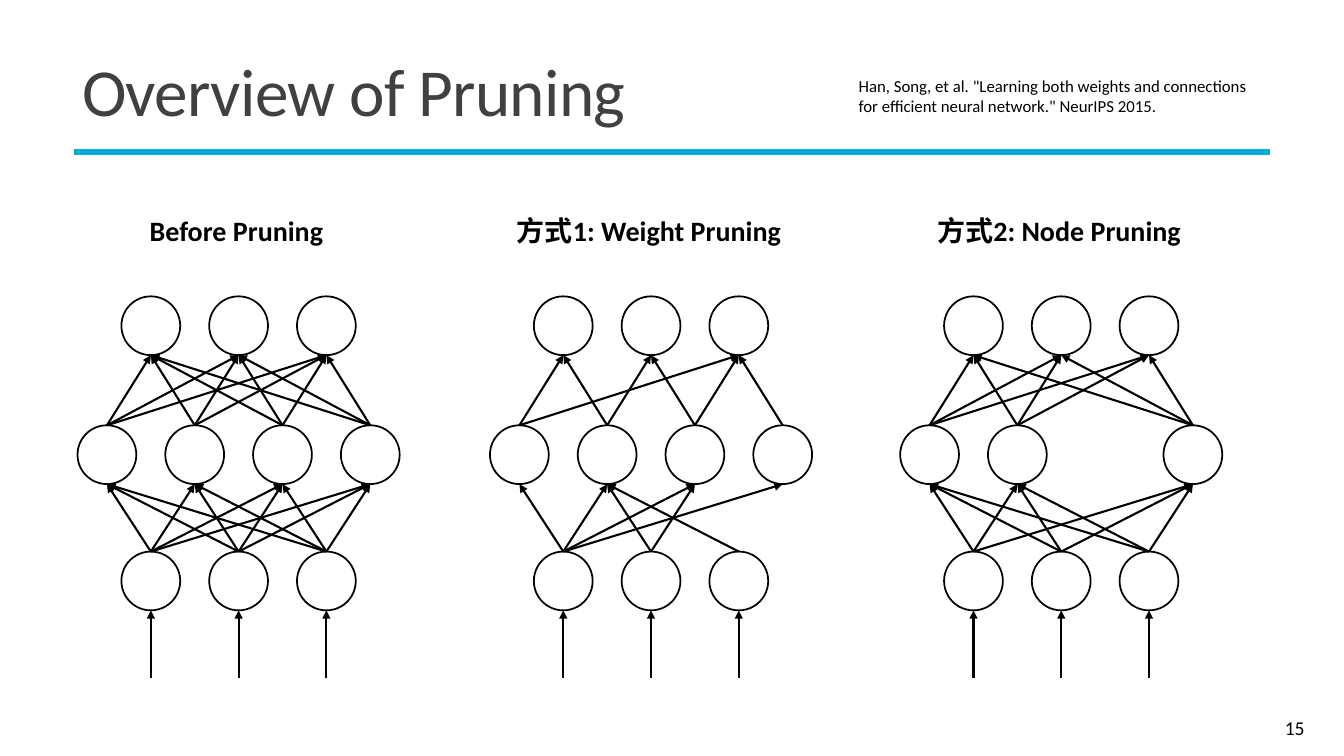
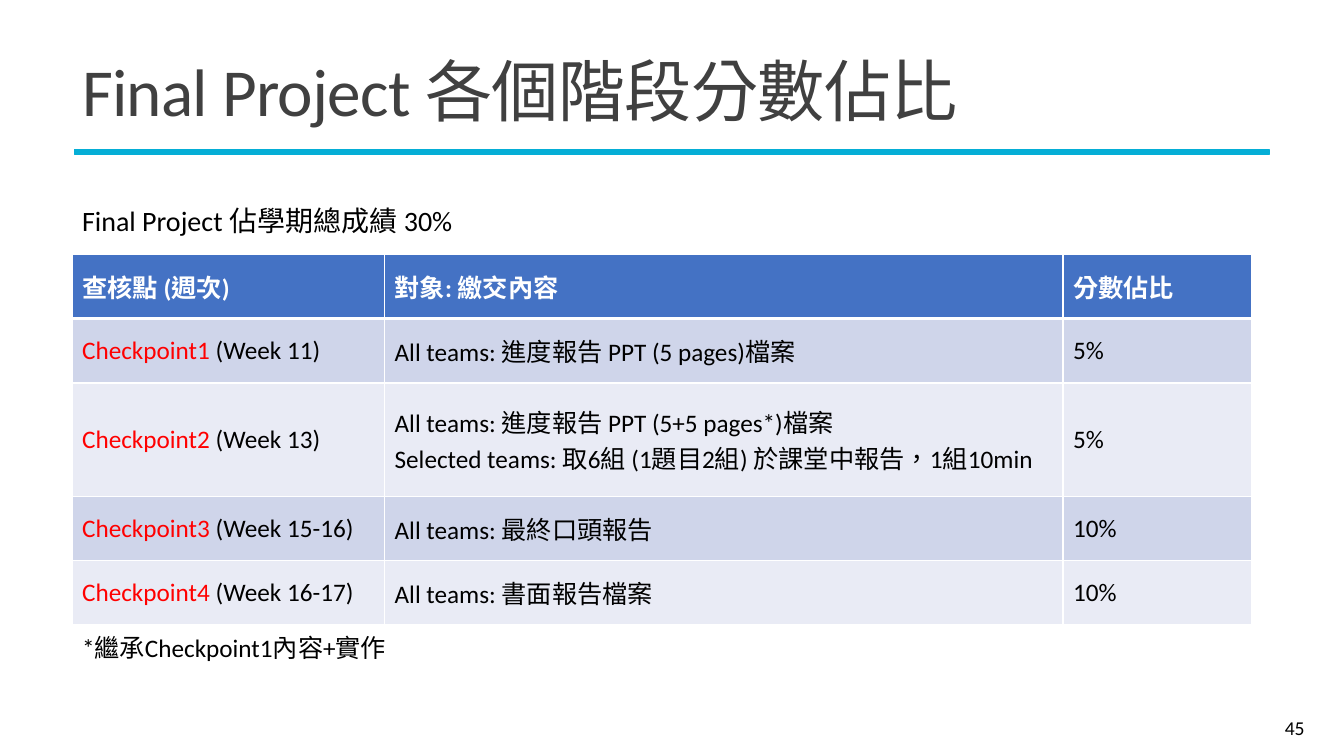
"""Build two lecture slides: an overview of pruning and the project grading table."""

import dataclasses
import itertools

import lxml.etree
import pptx
import pptx.dml.color
import pptx.enum.shapes
import pptx.enum.text
import pptx.oxml.ns
import pptx.shapes.autoshape
import pptx.slide
import pptx.table
import pptx.text.text
import pptx.util

COLORS = {
    "accent": "05AED6",
    "title": "404040",
    "text": "000000",
    "highlight": "FF0000",
    "white": "FFFFFF",
    "header": "4472C4",
    "odd_row": "CFD5EA",
    "even_row": "E9EBF5",
}
LATIN_FONT = "Calibri"
ASIAN_FONT = "Noto Sans CJK TC"

MARGIN = 51.5
NODE_SIZE = 42
NODE_PITCH = 62.7
OUTPUT_TOP, HIDDEN_TOP, INPUT_TOP = 211.7, 303.8, 394
ARROW_START = 484.6

CENTER = pptx.enum.text.PP_ALIGN.CENTER
RIGHT = pptx.enum.text.PP_ALIGN.RIGHT
MIDDLE = pptx.enum.text.MSO_ANCHOR.MIDDLE

Link = tuple[int, int]


@dataclasses.dataclass(frozen=True)
class TextStyle:
    size: float
    color: str = "text"
    bold: bool = False
    align: pptx.enum.text.PP_ALIGN | None = None


@dataclasses.dataclass(frozen=True)
class Network:
    heading: str
    left: float
    hidden: list[int]
    lower_links: list[Link]
    upper_links: list[Link]


@dataclasses.dataclass(frozen=True)
class Checkpoint:
    name: str
    weeks: str
    content: str
    share: str


def dense_network(heading: str, left: float, hidden: list[int]) -> Network:
    lower = list(itertools.product(range(3), hidden))
    upper = list(itertools.product(hidden, range(3)))
    return Network(heading, left, hidden, lower, upper)


NETWORKS = [
    dense_network("Before Pruning", 55.4, [0, 1, 2, 3]),
    Network(
        "方式1: Weight Pruning",
        350,
        [0, 1, 2, 3],
        [(0, 0), (0, 1), (0, 2), (0, 3), (1, 1), (1, 2), (2, 1)],
        [(0, 0), (0, 2), (1, 0), (1, 1), (2, 1), (2, 2), (3, 2)],
    ),
    dense_network("方式2: Node Pruning", 643, [0, 1, 3]),
]

TABLE_HEADER = ["查核點 (週次)", "對象: 繳交內容", "分數佔比"]
CHECKPOINTS = [
    Checkpoint("Checkpoint1", "(Week 11)", "All teams: 進度報告 PPT (5 pages)檔案", "5%"),
    Checkpoint(
        "Checkpoint2",
        "(Week 13)",
        "All teams: 進度報告 PPT (5+5 pages*)檔案\n"
        "Selected teams: 取6組 (1題目2組) 於課堂中報告，1組10min",
        "5%",
    ),
    Checkpoint("Checkpoint3", "(Week 15-16)", "All teams: 最終口頭報告", "10%"),
    Checkpoint("Checkpoint4", "(Week 16-17)", "All teams: 書面報告檔案", "10%"),
]
COLUMN_WIDTHS = [223.2, 484.6, 134.6]
ROW_HEIGHTS = [46, 46, 81, 46, 46]


def rgb(color: str) -> pptx.dml.color.RGBColor:
    return pptx.dml.color.RGBColor.from_string(COLORS[color])


def points(*lengths: float) -> list[pptx.util.Pt]:
    return [pptx.util.Pt(length) for length in lengths]


def format_run(run: pptx.text.text._Run, style: TextStyle) -> None:
    run.font.size = pptx.util.Pt(style.size)
    run.font.bold = style.bold
    run.font.color.rgb = rgb(style.color)
    run.font.name = LATIN_FONT
    properties = run._r.get_or_add_rPr()
    properties.set("lang", "zh-TW")
    asian = lxml.etree.SubElement(properties, pptx.oxml.ns.qn("a:ea"))
    asian.set("typeface", ASIAN_FONT)


def write(text_frame: pptx.text.text.TextFrame, text: str, style: TextStyle) -> None:
    text_frame.text = text
    for paragraph in text_frame.paragraphs:
        paragraph.alignment = style.align
        for run in paragraph.runs:
            format_run(run, style)


def add_text(
    slide: pptx.slide.Slide,
    text: str,
    box: tuple[float, float, float, float],
    style: TextStyle,
    anchor: pptx.enum.text.MSO_ANCHOR | None = None,
) -> pptx.text.text.TextFrame:
    text_frame = slide.shapes.add_textbox(*points(*box)).text_frame
    text_frame.word_wrap = True
    text_frame.vertical_anchor = anchor
    write(text_frame, text, style)
    return text_frame


def add_slide(
    presentation: pptx.presentation.Presentation, title: str, number: int
) -> pptx.slide.Slide:
    slide = presentation.slides.add_slide(presentation.slide_layouts[6])
    rule = slide.shapes.add_shape(
        pptx.enum.shapes.MSO_SHAPE.RECTANGLE, *points(53.3, 106.8, 853.2, 3.6)
    )
    rule.shadow.inherit = False
    rule.fill.solid()
    rule.fill.fore_color.rgb = rgb("accent")
    rule.line.color.rgb = rgb("accent")
    rule.line.width = pptx.util.Pt(1.25)

    title_frame = add_text(
        slide, title, (MARGIN, 28.1, 860, 81.4), TextStyle(48, "title"), MIDDLE
    )
    paragraph = title_frame.paragraphs[0]
    paragraph.line_spacing = 0.85
    for run in paragraph.runs:
        run._r.get_or_add_rPr().set("spc", "-50")
    add_text(
        slide, str(number), (836, 505.4, 103, 28.8), TextStyle(14, align=RIGHT), MIDDLE
    )
    return slide


def add_node(
    slide: pptx.slide.Slide, left: float, top: float
) -> pptx.shapes.autoshape.Shape:
    node = slide.shapes.add_shape(
        pptx.enum.shapes.MSO_SHAPE.OVAL, *points(left, top, NODE_SIZE, NODE_SIZE)
    )
    node.shadow.inherit = False
    node.fill.background()
    node.line.color.rgb = rgb("text")
    node.line.width = pptx.util.Pt(1.25)
    return node


def add_arrow(
    slide: pptx.slide.Slide,
    target: pptx.shapes.autoshape.Shape,
    source: pptx.shapes.autoshape.Shape | None = None,
) -> None:
    end_x = target.left + target.width // 2
    end_y = target.top + target.height
    start_x = source.left + source.width // 2 if source else end_x
    start_y = source.top if source else pptx.util.Pt(ARROW_START)
    arrow = slide.shapes.add_connector(
        pptx.enum.shapes.MSO_CONNECTOR.STRAIGHT, start_x, start_y, end_x, end_y
    )
    if source:
        arrow.begin_connect(source, 0)
    arrow.line.color.rgb = rgb("text")
    arrow.line.width = pptx.util.Pt(1.5)
    head = lxml.etree.SubElement(
        arrow.line._get_or_add_ln(), pptx.oxml.ns.qn("a:tailEnd")
    )
    head.set("type", "triangle")
    lxml.etree.SubElement(arrow._element.spPr, pptx.oxml.ns.qn("a:effectLst"))


def add_network(slide: pptx.slide.Slide, network: Network) -> None:
    outer_lefts = [network.left + NODE_PITCH * (index + 0.5) for index in range(3)]
    inputs = [add_node(slide, left, INPUT_TOP) for left in outer_lefts]
    hidden = {
        index: add_node(slide, network.left + NODE_PITCH * index, HIDDEN_TOP)
        for index in network.hidden
    }
    outputs = [add_node(slide, left, OUTPUT_TOP) for left in outer_lefts]

    for node in inputs:
        add_arrow(slide, node)
    for source, target in network.lower_links:
        add_arrow(slide, hidden[target], inputs[source])
    for source, target in network.upper_links:
        add_arrow(slide, outputs[target], hidden[source])

    heading_width = 230
    center = network.left + NODE_PITCH * 1.5 + NODE_SIZE / 2 - 1.5
    add_text(
        slide,
        network.heading,
        (center - heading_width / 2, 149, heading_width, 31.7),
        TextStyle(20, bold=True, align=CENTER),
    )


def format_cell(cell: pptx.table._Cell, fill: str, bottom_width: float) -> None:
    cell.vertical_anchor = MIDDLE
    properties = cell._tc.get_or_add_tcPr()
    for side, width in {"L": 1, "R": 1, "T": 1, "B": bottom_width}.items():
        border = lxml.etree.SubElement(properties, pptx.oxml.ns.qn(f"a:ln{side}"))
        border.set("w", str(pptx.util.Pt(width)))
        solid = lxml.etree.SubElement(border, pptx.oxml.ns.qn("a:solidFill"))
        color = lxml.etree.SubElement(solid, pptx.oxml.ns.qn("a:srgbClr"))
        color.set("val", COLORS["white"])
    cell.fill.solid()
    cell.fill.fore_color.rgb = rgb(fill)


def add_grading_table(slide: pptx.slide.Slide) -> None:
    table = slide.shapes.add_table(
        len(ROW_HEIGHTS),
        len(COLUMN_WIDTHS),
        *points(MARGIN, 181.6, sum(COLUMN_WIDTHS), sum(ROW_HEIGHTS)),
    ).table
    table.horz_banding = False
    for column, width in zip(table.columns, COLUMN_WIDTHS):
        column.width = pptx.util.Pt(width)
    for row, height in zip(table.rows, ROW_HEIGHTS):
        row.height = pptx.util.Pt(height)

    for cell, label in zip(table.rows[0].cells, TABLE_HEADER):
        write(cell.text_frame, label, TextStyle(18, "white", bold=True))
        format_cell(cell, "header", 3)

    body = TextStyle(18)
    for number, checkpoint in enumerate(CHECKPOINTS, start=1):
        name, content, share = table.rows[number].cells
        write(name.text_frame, f"{checkpoint.name} ", TextStyle(18, "highlight"))
        weeks = name.text_frame.paragraphs[0].add_run()
        weeks.text = checkpoint.weeks
        format_run(weeks, body)
        write(content.text_frame, checkpoint.content, body)
        write(share.text_frame, checkpoint.share, body)
        for cell in (name, content, share):
            format_cell(cell, "odd_row" if number % 2 else "even_row", 1)


def main() -> None:
    presentation = pptx.Presentation()
    presentation.slide_width, presentation.slide_height = points(960, 540)

    pruning = add_slide(presentation, "Overview of Pruning", 15)
    for network in NETWORKS:
        add_network(pruning, network)
    add_text(
        pruning,
        'Han, Song, et al. "Learning both weights and connections '
        'for efficient neural network." NeurIPS 2015.',
        (606.2, 50.4, 296.6, 36),
        TextStyle(12),
    )

    grading = add_slide(presentation, "Final Project 各個階段分數佔比", 45)
    add_grading_table(grading)
    add_text(grading, "*繼承Checkpoint1內容+實作", (MARGIN, 447.8, 480, 29), TextStyle(18))
    add_text(grading, "Final Project 佔學期總成績 30%", (MARGIN, 141.8, 480, 31.7), TextStyle(20))

    presentation.save("out.pptx")


if __name__ == "__main__":
    main()
